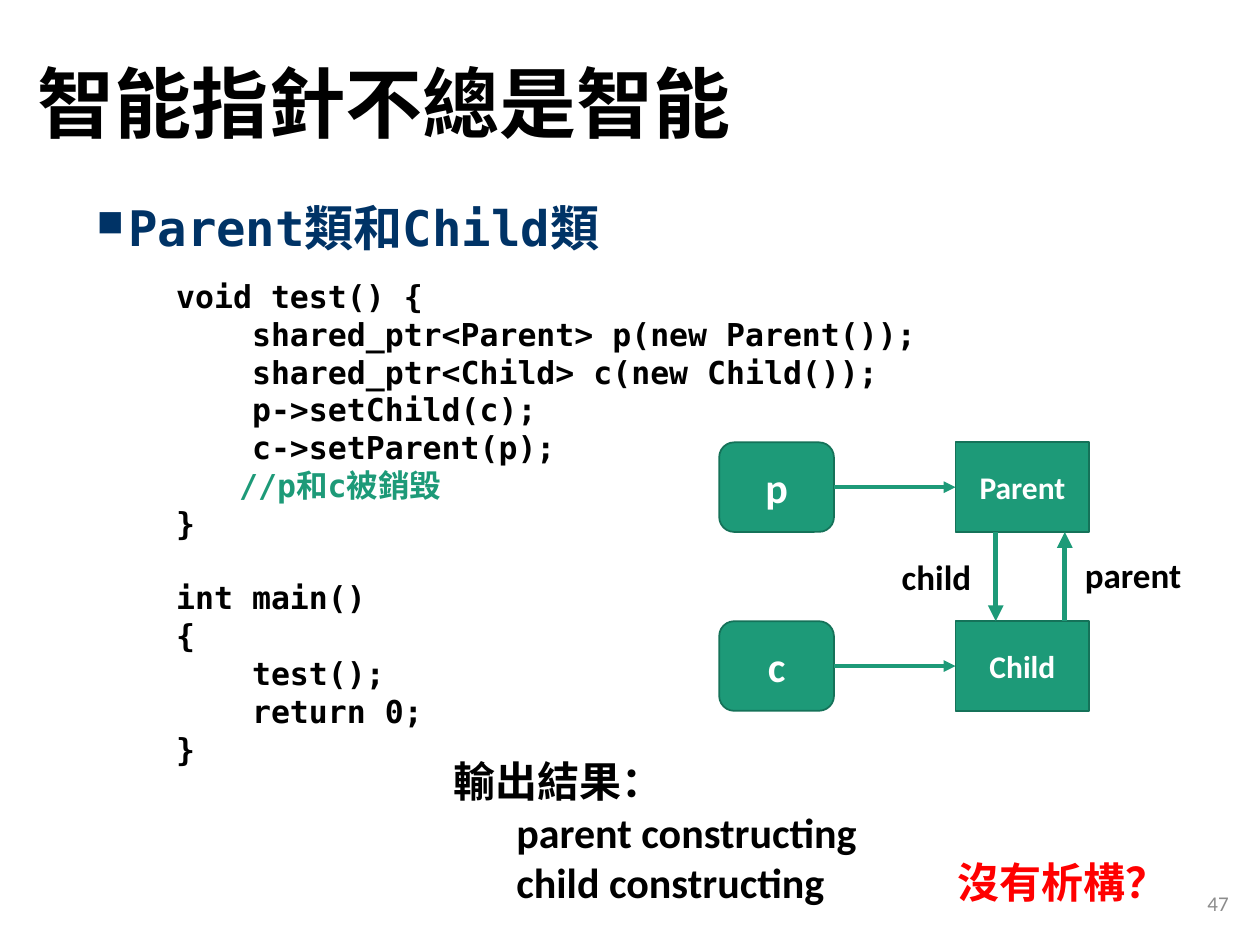
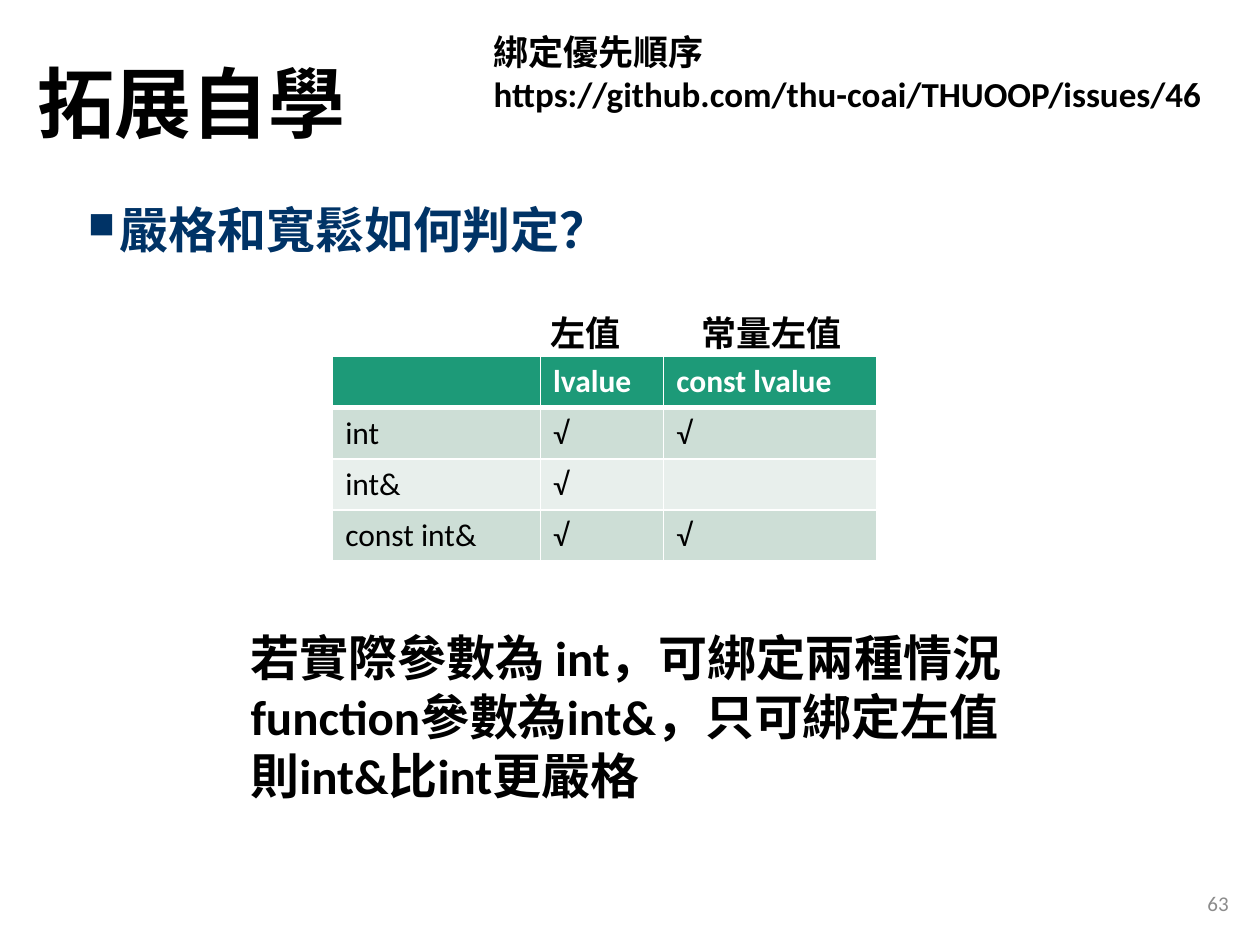
from pptx import Presentation
from pptx.dml.color import RGBColor
from pptx.enum import shapes, text
from pptx.oxml import ns, xmlchemy as x
from pptx.util import Pt

BLACK = RGBColor(0, 0, 0)
WHITE = RGBColor(255, 255, 255)
NAVY = RGBColor(0, 0x33, 0x66)
GREEN = RGBColor(0x1D, 0x9A, 0x78)
DARK_GREEN = RGBColor(0x15, 0x72, 0x59)
RED = RGBColor(255, 0, 0)
GRAY = RGBColor(0x8C, 0x8C, 0x8C)
BANDS = [RGBColor(0xCD, 0xDE, 0xD6), RGBColor(0xE8, 0xEF, 0xEC)]
SANS, MONO, CJK = "Calibri", "DejaVu Sans Mono", "Noto Sans CJK SC"


def add_xml(parent, tag, **attrs):
    """Append a DrawingML child element and return it."""
    el = x.OxmlElement(tag)
    for key, value in attrs.items():
        el.set(key, str(value))
    parent.append(el)
    return el


def write(tf, paras, size=20, font=SANS, color=BLACK, bold=True, align=None,
          spacing=None, bullet=None, tabs=(), gaps=None):
    """Fill a text frame; a paragraph is a string or a list of (text, colour)."""
    for i, runs in enumerate([paras] if isinstance(paras, str) else paras):
        p = tf.paragraphs[0] if i == 0 else tf.add_paragraph()
        pPr = p._p.get_or_add_pPr()
        if bullet:
            pPr.set("marL", str(Pt(18)))
            pPr.set("indent", str(-Pt(18)))
            add_xml(pPr, "a:buSzPct", val=75000)
            add_xml(pPr, "a:buChar", char=bullet)
        if tabs:
            tab_list = add_xml(pPr, "a:tabLst")
            for pos in tabs:
                add_xml(tab_list, "a:tab", pos=Pt(pos), algn="l")
        p.alignment = align
        p.line_spacing = spacing
        if gaps and i in gaps:
            p.space_before = Pt(gaps[i])
        for content, tint in [(runs, color)] if isinstance(runs, str) else runs:
            r = p.add_run()
            r.text = content
            r.font.size, r.font.bold, r.font.name = Pt(size), bold, font
            r.font.color.rgb = tint
            add_xml(r._r.get_or_add_rPr(), "a:ea", typeface=CJK)


def textbox(s, box, paras, wrap=True, anchor=text.MSO_ANCHOR.TOP, **fmt):
    """Add a text box at box = (left, top, width, height)."""
    tf = s.shapes.add_textbox(*map(Pt, box)).text_frame
    tf.word_wrap = wrap
    tf.vertical_anchor = anchor
    write(tf, paras, **fmt)


def base_slide(prs, title, heading, heading_box, number):
    """Add a slide with its title, bulleted heading and page number."""
    s = prs.slides.add_slide(prs.slide_layouts[6])
    middle = text.MSO_ANCHOR.MIDDLE
    textbox(s, (14.4, 9.4, 620.6, 104.4), title, anchor=middle,
            size=44, font=CJK, spacing=0.9)
    textbox(s, heading_box, heading, size=28, font=MONO, color=NAVY,
            spacing=0.9, bullet="■")
    textbox(s, (547.2, 501.8, 162, 28.8), number, anchor=middle, size=12,
            color=GRAY, bold=False, align=text.PP_ALIGN.RIGHT)
    return s


def node(s, kind, box, label, size):
    """Add a green labelled box of the diagram."""
    sp = s.shapes.add_shape(kind, *map(Pt, box))
    sp.shadow.inherit = False
    sp.fill.solid()
    sp.fill.fore_color.rgb = GREEN
    sp.line.color.rgb = DARK_GREEN
    sp.line.width = Pt(1)
    sp.text_frame.vertical_anchor = text.MSO_ANCHOR.MIDDLE
    write(sp.text_frame, label, size=size, color=WHITE,
          align=text.PP_ALIGN.CENTER)
    return sp


def arrow(s, start, end, width):
    """Add a green arrow between two points."""
    c = s.shapes.add_connector(shapes.MSO_CONNECTOR.STRAIGHT,
                               *map(Pt, (*start, *end)))
    c.line.color.rgb = GREEN
    c.line.width = Pt(width)
    add_xml(c.line._get_or_add_ln(), "a:tailEnd", type="triangle")
    add_xml(c._element.spPr, "a:effectLst")
    return c


def pointer_diagram(s, left, top):
    """Draw the pointers p and c, their objects and the mutual references."""
    kind = shapes.MSO_SHAPE
    height, pitch, pointer_w, object_w, object_x = 51.2, 102.2, 65.6, 76.5, 135
    for i, (name, target) in enumerate([("p", "Parent"), ("c", "Child")]):
        y = top + i * pitch
        pointer = node(s, kind.ROUNDED_RECTANGLE,
                       (left, y, pointer_w, height), name, 24)
        obj = node(s, kind.RECTANGLE,
                   (left + object_x, y, object_w, height), target, 18)
        mid = y + height / 2
        c = arrow(s, (left + pointer_w, mid), (left + object_x, mid), 2.25)
        c.begin_connect(pointer, 3)
        c.end_connect(obj, 1)
    upper, lower = top + height, top + pitch
    arrow(s, (left + 158, upper), (left + 158, lower), 3)
    arrow(s, (left + 197.5, lower), (left + 197.5, upper), 3)
    textbox(s, (left + 201.8, top + 59.8, 70, 31.5), "parent", wrap=False)
    textbox(s, (left + 97.2, top + 61.2, 55, 31.5), "child", wrap=False)


def binding_table(s, left, top):
    """Add the table of bindings with the Chinese column captions above it."""
    rows = [("", "lvalue", "const lvalue"), ("int", "√", "√"),
            ("int&", "√", ""), ("const int&", "√", "√")]
    widths, height = (118.8, 70.4, 121.8), 29.2
    frame = s.shapes.add_table(len(rows), len(widths), Pt(left), Pt(top),
                               Pt(sum(widths)), Pt(height * len(rows)))
    table = frame.table
    for column, width in zip(table.columns, widths):
        column.width = Pt(width)
    for i, row in enumerate(rows):
        table.rows[i].height = Pt(height)
        for j, value in enumerate(row):
            cell = table.cell(i, j)
            for side in "LRTB":
                heavy = (i, side) in [(0, "B"), (1, "T")]
                ln = add_xml(cell._tc.get_or_add_tcPr(), f"a:ln{side}",
                             w=Pt(3 if heavy else 1))
                add_xml(add_xml(ln, "a:solidFill"), "a:srgbClr", val=WHITE)
            cell.fill.solid()
            cell.fill.fore_color.rgb = BANDS[(i - 1) % 2] if i else GREEN
            if value:
                write(cell.text_frame, value, size=18, bold=i == 0,
                      color=BLACK if i else WHITE)
            else:
                cell.text_frame.paragraphs[0].font.size = Pt(18)
    textbox(s, (left + 117.4, top - 29.5, 55, 31.5), "左值", wrap=False)
    textbox(s, (left + 203.8, top - 29.5, 95, 31.5), "常量左值", wrap=False)


def pointer_slide(prs):
    """Build the slide on smart pointers that refer to each other."""
    s = base_slide(prs, "智能指針不總是智能", "Parent類和Child類",
                   (48.2, 113, 633.6, 373.7), "47")
    code = ["void test() {",
            "    shared_ptr<Parent> p(new Parent());",
            "    shared_ptr<Child> c(new Child());",
            "    p->setChild(c);",
            "    c->setParent(p);",
            [("\t//p和c被銷毀", GREEN)],
            "}",
            "int main()",
            "{",
            "    test();",
            "    return 0;",
            "}"]
    textbox(s, (93.6, 154.8, 504.7, 290.9), code, size=18, font=MONO,
            tabs=[36], gaps={7: 21})
    output = ["輸出結果：", "\tparent constructing",
              [("\tchild constructing\t", BLACK), ("沒有析構？", RED)]]
    textbox(s, (252, 428.4, 435, 94.3), output, size=24, tabs=[36, 288])
    pointer_diagram(s, 411, 252.8)


def binding_slide(prs):
    """Build the slide on how strict a parameter type is."""
    s = base_slide(prs, "拓展自學", "嚴格和寬鬆如何判定？",
                   (43.2, 114.5, 633.6, 373.7), "63")
    binding_table(s, 190.1, 203.8)
    textbox(s, (136.1, 355, 448.6, 108.7),
            ["若實際參數為 int，可綁定兩種情況",
             "function參數為int&，只可綁定左值", "則int&比int更嚴格"], size=28)
    textbox(s, (275, 13.7, 430, 55.4),
            ["綁定優先順序", "https://github.com/thu-coai/THUOOP/issues/46"])


def main():
    """Build and save the presentation."""
    prs = Presentation()
    prs.slide_width, prs.slide_height = Pt(720), Pt(540)
    pointer_slide(prs)
    binding_slide(prs)
    prs.save("out.pptx")


if __name__ == "__main__":
    main()
